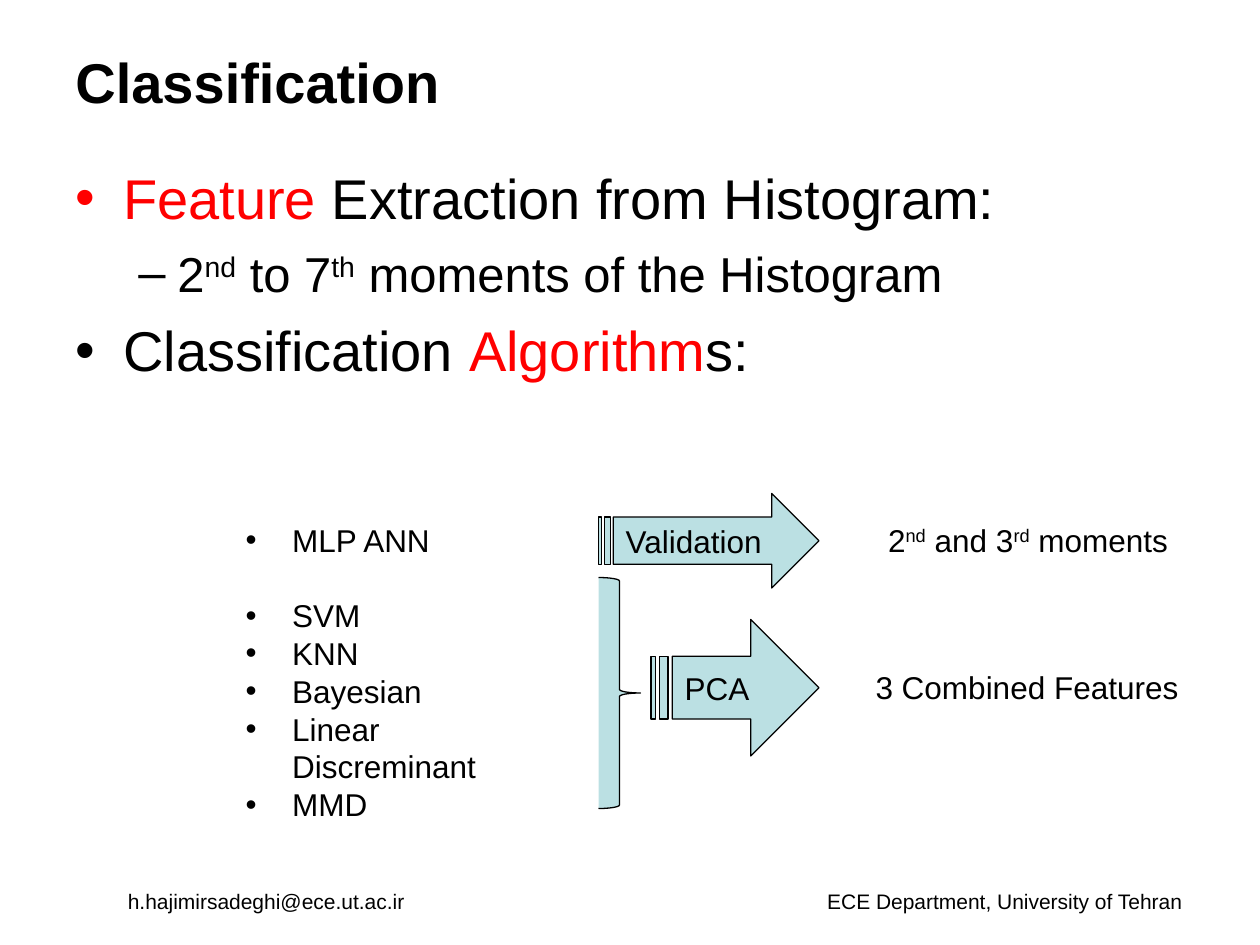
from dataclasses import dataclass

from lxml.etree import SubElement
from pptx import Presentation
from pptx.dml.color import RGBColor
from pptx.enum.shapes import MSO_SHAPE
from pptx.enum.text import MSO_ANCHOR, PP_ALIGN
from pptx.oxml.ns import qn
from pptx.util import Inches, Pt


@dataclass(frozen=True)
class Theme:
    font: str = "Arial"
    ink: str = "000000"
    accent: str = "FF0000"
    fill: str = "BBE0E3"
    line: float = 0.75
    title: int = 32
    level1: int = 32
    level2: int = 28
    label: int = 18
    footer: int = 12


@dataclass(frozen=True)
class Bullet:
    char: str
    margin: float
    hang: float
    color: str


class SlideBuilder:
    """Places elements on a grid of 120 columns by 90 rows."""
    COLS, ROWS = 120, 90

    def __init__(self, prs, theme):
        self.theme = theme
        self.col = prs.slide_width / self.COLS
        self.row = prs.slide_height / self.ROWS
        self.shapes = prs.slides.add_slide(prs.slide_layouts[6]).shapes

    def box(self, x, y, w, h):
        return (round(x * self.col), round(y * self.row),
                round(w * self.col), round(h * self.row))

    def text(self, x, y, w, h, anchor=MSO_ANCHOR.TOP):
        tf = self.shapes.add_textbox(*self.box(x, y, w, h)).text_frame
        tf.word_wrap = True
        tf.vertical_anchor = anchor
        return tf

    def paragraph(self, tf, runs, size, bullet=None, before=0, tab=None, bold=False):
        """Fill the empty first paragraph, or add one; runs are (text, format) pairs."""
        first = tf.paragraphs[0]
        p = tf.add_paragraph() if first.runs else first
        pPr = p._p.get_or_add_pPr()
        if bullet:
            pPr.set("marL", str(Inches(bullet.margin)))
            pPr.set("indent", str(-Inches(bullet.hang)))
            color = SubElement(pPr, qn("a:buClr"))
            SubElement(color, qn("a:srgbClr"), val=bullet.color)
            SubElement(pPr, qn("a:buFont"), typeface=self.theme.font)
            SubElement(pPr, qn("a:buChar"), char=bullet.char)
        if tab:
            tabs = SubElement(pPr, qn("a:tabLst"))
            SubElement(tabs, qn("a:tab"), pos=str(Inches(tab)), algn="l")
        p.alignment = PP_ALIGN.LEFT
        p.space_before = Pt(before)
        for words, fmt in runs:
            r = p.add_run()
            r.text = words
            values = {"name": self.theme.font, "size": Pt(size), "bold": bold}
            for name, value in values.items():
                setattr(r.font, name, value)
            r.font.color.rgb = RGBColor.from_string(fmt.get("color", self.theme.ink))
            if fmt.get("raised"):
                r._r.get_or_add_rPr().set("baseline", "30000")

    def shape(self, kind, x, y, w, h, adjustments, words=None):
        sp = self.shapes.add_shape(kind, *self.box(x, y, w, h))
        sp.shadow.inherit = False
        sp.fill.solid()
        sp.fill.fore_color.rgb = RGBColor.from_string(self.theme.fill)
        sp.line.color.rgb = RGBColor.from_string(self.theme.ink)
        sp.line.width = Pt(self.theme.line)
        for i, value in enumerate(adjustments):
            sp.adjustments[i] = value
        if words:
            tf = sp.text_frame
            tf.word_wrap = True
            tf.vertical_anchor = MSO_ANCHOR.MIDDLE
            self.paragraph(tf, [(words, {})], self.theme.label)


def main():
    theme = Theme()
    prs = Presentation()
    prs.slide_width, prs.slide_height = Inches(10), Inches(7.5)
    s = SlideBuilder(prs, theme)
    plain, red, raised = {}, {"color": theme.accent}, {"raised": True}

    footer = s.text(11, 84, 103, 6)
    s.paragraph(footer, [("h.hajimirsadeghi@ece.ut.ac.ir\tECE Department, University of Tehran",
                          plain)], theme.footer, tab=5.55)

    title = s.text(6, 4.2, 99, 7, MSO_ANCHOR.MIDDLE)
    s.paragraph(title, [("Classification", plain)], theme.title, bold=True)

    body = s.text(6, 15, 108, 35)
    outline = [
        ([("Feature", red), (" Extraction from Histogram:", plain)],
         theme.level1, Bullet("•", 0.38, 0.38, theme.accent), 0),
        ([("2", plain), ("nd", raised), (" to 7", plain), ("th", raised),
          (" moments of the Histogram", plain)],
         theme.level2, Bullet("–", 0.81, 0.31, theme.ink), 7),
        ([("Classification ", plain), ("Algorithm", red), ("s:", plain)],
         theme.level1, Bullet("•", 0.38, 0.38, theme.ink), 8),
    ]
    for runs, size, bullet, before in outline:
        s.paragraph(body, runs, size, bullet, before)

    algorithms = s.text(22.2, 49, 31.8, 26.4)
    dot = Bullet("•", 0.37, 0.37, theme.ink)
    for name in ("MLP ANN", "SVM", "KNN", "Bayesian", "Linear Discreminant", "MMD"):
        gap = 21.6 if name == "SVM" else 0
        s.paragraph(algorithms, [(name, plain)], theme.label, dot, gap)

    s.shape(MSO_SHAPE.RIGHT_BRACE, 57, 55, 4, 22, (0.0833, 0.5))
    s.shape(MSO_SHAPE.STRIPED_RIGHT_ARROW, 62, 59, 16, 13, (0.46, 0.5), "PCA")
    s.shape(MSO_SHAPE.STRIPED_RIGHT_ARROW, 57, 47, 21, 9, (0.5, 0.5), "Validation")

    results = [
        (83.4, 49, [("2", plain), ("nd", raised), (" and 3", plain), ("rd", raised),
                    (" moments", plain)]),
        (82.2, 63, [("3 Combined Features", plain)]),
    ]
    for x, y, runs in results:
        s.paragraph(s.text(x, y, 33, 4.8), runs, theme.label)

    prs.save("out.pptx")


if __name__ == "__main__":
    main()
